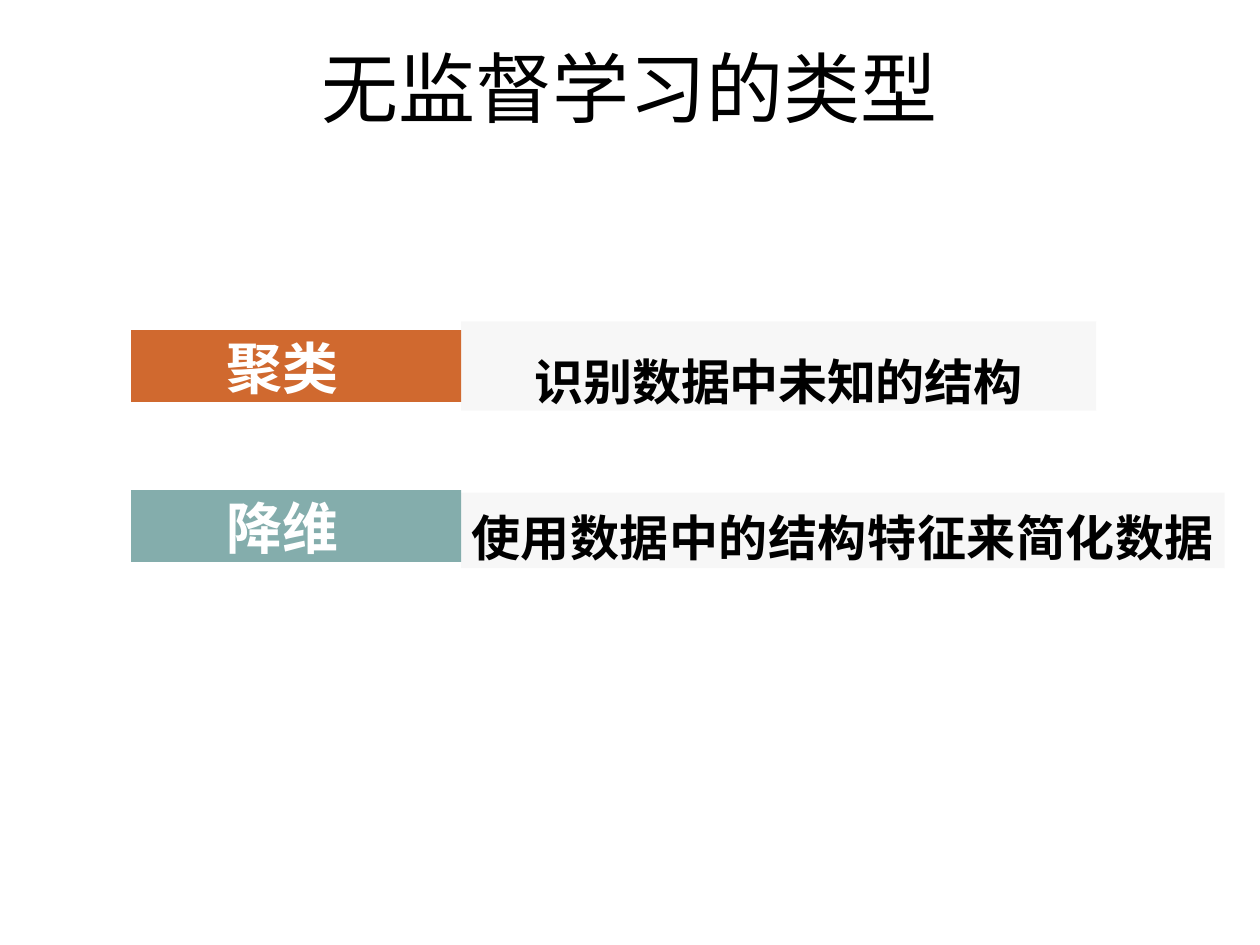
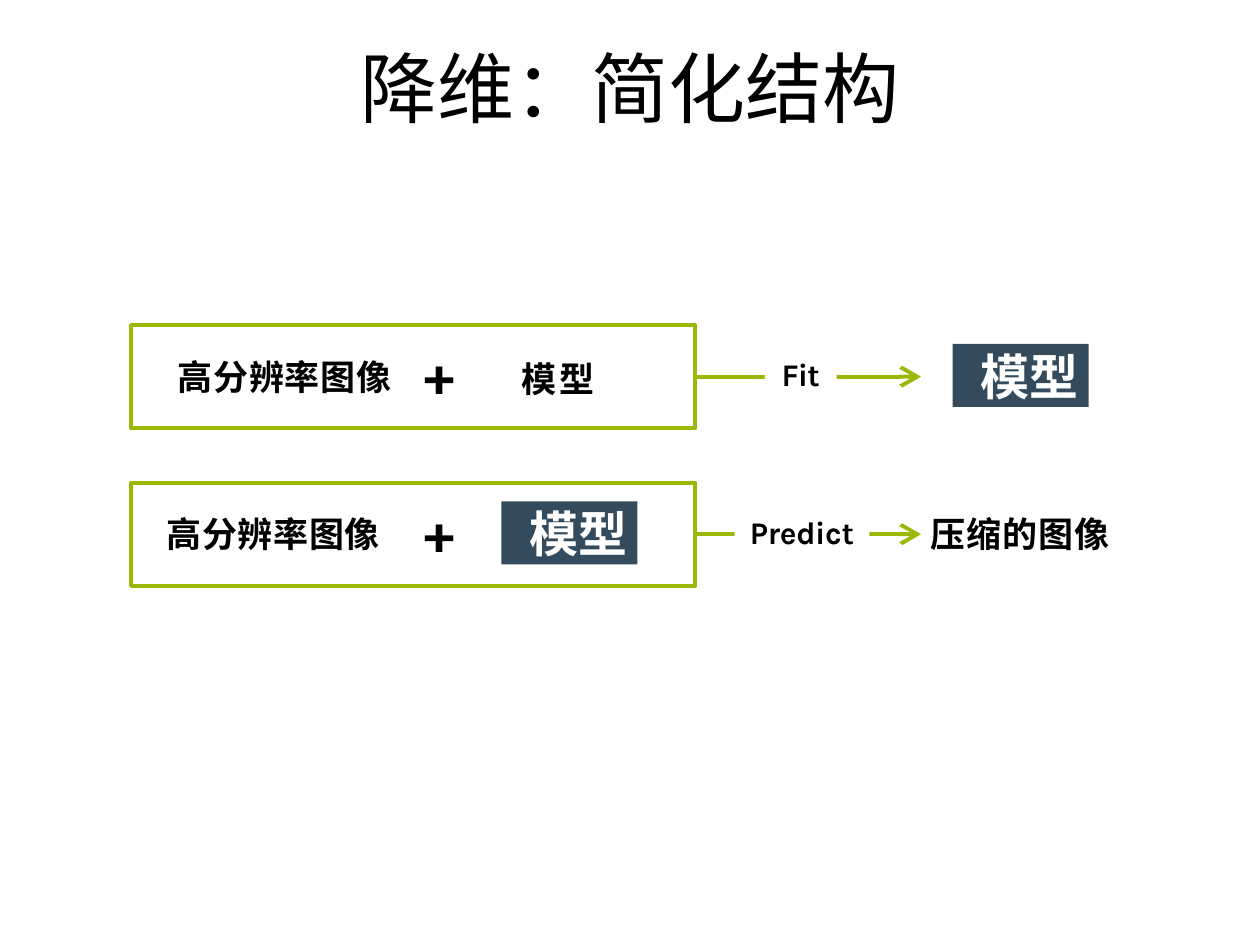
from dataclasses import dataclass
from typing import Optional

from lxml.etree import SubElement
from pptx import Presentation
from pptx.dml.color import RGBColor
from pptx.enum.shapes import MSO_CONNECTOR, MSO_SHAPE
from pptx.enum.text import MSO_ANCHOR, PP_ALIGN
from pptx.oxml.ns import qn
from pptx.util import Inches, Pt

COLUMNS, ROWS = 100, 75
WIDTH, HEIGHT = Inches(10), Inches(7.5)
BLACK, WHITE, PALE = "000000", "FFFFFF", "F1F1F1"
ORANGE, TEAL, NAVY, GREEN = "D0692F", "84ADAC", "344B5E", "9BB808"
TITLE_FONT, BODY_FONT = "Calibri", "Karla"
LINE_WIDTH = 2.28
TITLE_LAYOUT = 5
LEFT, CENTER = PP_ALIGN.LEFT, PP_ALIGN.CENTER


@dataclass(frozen=True)
class Area:
    column: float
    row: float
    columns: float
    rows: float


@dataclass(frozen=True)
class Label:
    text: str
    area: Area
    size: float
    color: str = BLACK
    fill: Optional[str] = None
    opacity: int = 100
    align: PP_ALIGN = LEFT
    anchor: MSO_ANCHOR = MSO_ANCHOR.TOP
    inset: float = 0.1
    indent: float = 0
    before: float = 1
    spacing: float = 0


def across(columns: float) -> int:
    return round(WIDTH * columns / COLUMNS)


def down(rows: float) -> int:
    return round(HEIGHT * rows / ROWS)


def bounds(area: Area) -> tuple[int, int, int, int]:
    return across(area.column), down(area.row), across(area.columns), down(area.rows)


def paint(target, color: str, opacity: int = 100) -> None:
    target.solid()
    target.fore_color.rgb = RGBColor.from_string(color)
    if opacity < 100:
        tint = target._xPr.find(qn("a:solidFill"))[0]
        SubElement(tint, qn("a:alpha"), val=str(opacity * 1000))


def style_font(para, name: str, size: float, color: str, bold: bool) -> None:
    para.font.name = name
    para.font.size = Pt(size)
    para.font.bold = bold
    para.font.color.rgb = RGBColor.from_string(color)


def add_page(deck, title: str):
    page = deck.slides.add_slide(deck.slide_layouts[TITLE_LAYOUT])
    box = page.shapes.title
    box.left, box.top, box.width, box.height = bounds(Area(5, 0.6, 90, 12.5))
    box.text_frame.text = title
    box.text_frame.vertical_anchor = MSO_ANCHOR.MIDDLE
    para = box.text_frame.paragraphs[0]
    para.alignment = CENTER
    style_font(para, TITLE_FONT, 44, BLACK, False)
    return page


def draw_label(page, label: Label) -> None:
    if label.fill:
        box = page.shapes.add_shape(MSO_SHAPE.RECTANGLE, *bounds(label.area))
        box.shadow.inherit = False
        box.line.fill.background()
        paint(box.fill, label.fill, label.opacity)
    else:
        box = page.shapes.add_textbox(*bounds(label.area))
    frame = box.text_frame
    frame.word_wrap = True
    frame.vertical_anchor = label.anchor
    frame.margin_left = frame.margin_right = frame.margin_bottom = 0
    frame.margin_top = down(label.inset)
    frame.text = label.text
    para = frame.paragraphs[0]
    para.alignment = label.align
    para.space_before = Pt(label.before)
    style_font(para, BODY_FONT, label.size, label.color, True)
    properties = para._p.get_or_add_pPr()
    properties.set("marL", str(across(label.indent)))
    properties.get_or_add_defRPr().set("spc", str(round(label.spacing * 100)))


def draw_frame(page, area: Area) -> None:
    box = page.shapes.add_shape(MSO_SHAPE.RECTANGLE, *bounds(area))
    box.shadow.inherit = False
    box.fill.background()
    paint(box.line.fill, GREEN)
    box.line.width = Pt(LINE_WIDTH)


def draw_arrow(page, start: float, end: float, row: float) -> None:
    arrow = page.shapes.add_connector(
        MSO_CONNECTOR.STRAIGHT, across(start), down(row), across(end), down(row)
    )
    paint(arrow.line.fill, GREEN)
    arrow.line.width = Pt(LINE_WIDTH)
    SubElement(arrow.line._get_or_add_ln(), qn("a:tailEnd"), type="arrow", w="lg", len="lg")
    SubElement(arrow._element.spPr, qn("a:effectLst"))


def kind_label(text: str, row: float, color: str) -> Label:
    return Label(text, Area(10.4, row, 26.2, 5.7), 32, WHITE, color,
                 inset=0.3, indent=7.6, before=2.4)


def model_label(column: float, row: float) -> Label:
    return Label("模型", Area(column, row, 10.8, 5), 28, WHITE, NAVY,
                 inset=0.2, indent=2.2, before=1.8)


def draw_step(page, row: float, action: Label, parts: list[Label]) -> None:
    draw_frame(page, Area(10.4, row, 44.8, 8.2))
    draw_arrow(page, 55.2, 73.1, row + 4.1)
    plus = Label("+", Area(33.7, row + 1, 2.8, 5.6), 32, before=1.1, spacing=0.2)
    for label in [plus, action, *parts]:
        draw_label(page, label)


def build_types(deck) -> None:
    page = add_page(deck, "无监督学习的类型")
    labels = [
        Label("识别数据中未知的结构", Area(36.6, 25.5, 50.4, 7.1), 28, fill=PALE, opacity=50,
              align=CENTER, anchor=MSO_ANCHOR.MIDDLE, inset=2.4, before=0, spacing=-0.1),
        kind_label("聚类", 26.2, ORANGE),
        Label("使用数据中的结构特征来简化数据", Area(36.6, 39.1, 60.6, 6), 28, fill=PALE,
              opacity=50, align=CENTER, inset=1.2, before=9, spacing=0.4),
        kind_label("降维", 38.9, TEAL),
    ]
    for label in labels:
        draw_label(page, label)


def build_reduction(deck) -> None:
    page = add_page(deck, "降维：简化结构")
    fit_row, predict_row = 25.8, 38.3
    image = "高分辨率图像"
    draw_step(
        page, fit_row,
        Label("Fit", Area(60.7, fit_row + 2.3, 5.7, 4.4), 18, fill=WHITE,
              align=CENTER, spacing=-0.5),
        [
            Label(image, Area(14.1, fit_row + 2.3, 18.2, 3.5), 20, spacing=0.4),
            Label("模型", Area(41.4, fit_row + 2.5, 7.5, 3.5), 20, spacing=1.4),
            model_label(75.6, fit_row + 1.5),
        ],
    )
    draw_step(
        page, predict_row,
        Label("Predict", Area(58.3, predict_row + 2.3, 10.7, 4.4), 18, fill=WHITE,
              align=CENTER, spacing=-0.2),
        [
            Label(image, Area(12.6, predict_row + 2.3, 18.2, 3.5), 20,
                  align=CENTER, spacing=0.3),
            model_label(39.8, predict_row + 1.5),
            Label("压缩的图像", Area(73.5, predict_row + 2.3, 14.9, 3.5), 20,
                  align=CENTER, spacing=0.6),
        ],
    )


def main() -> None:
    deck = Presentation()
    deck.slide_width, deck.slide_height = WIDTH, HEIGHT
    build_types(deck)
    build_reduction(deck)
    deck.save("out.pptx")


if __name__ == "__main__":
    main()
